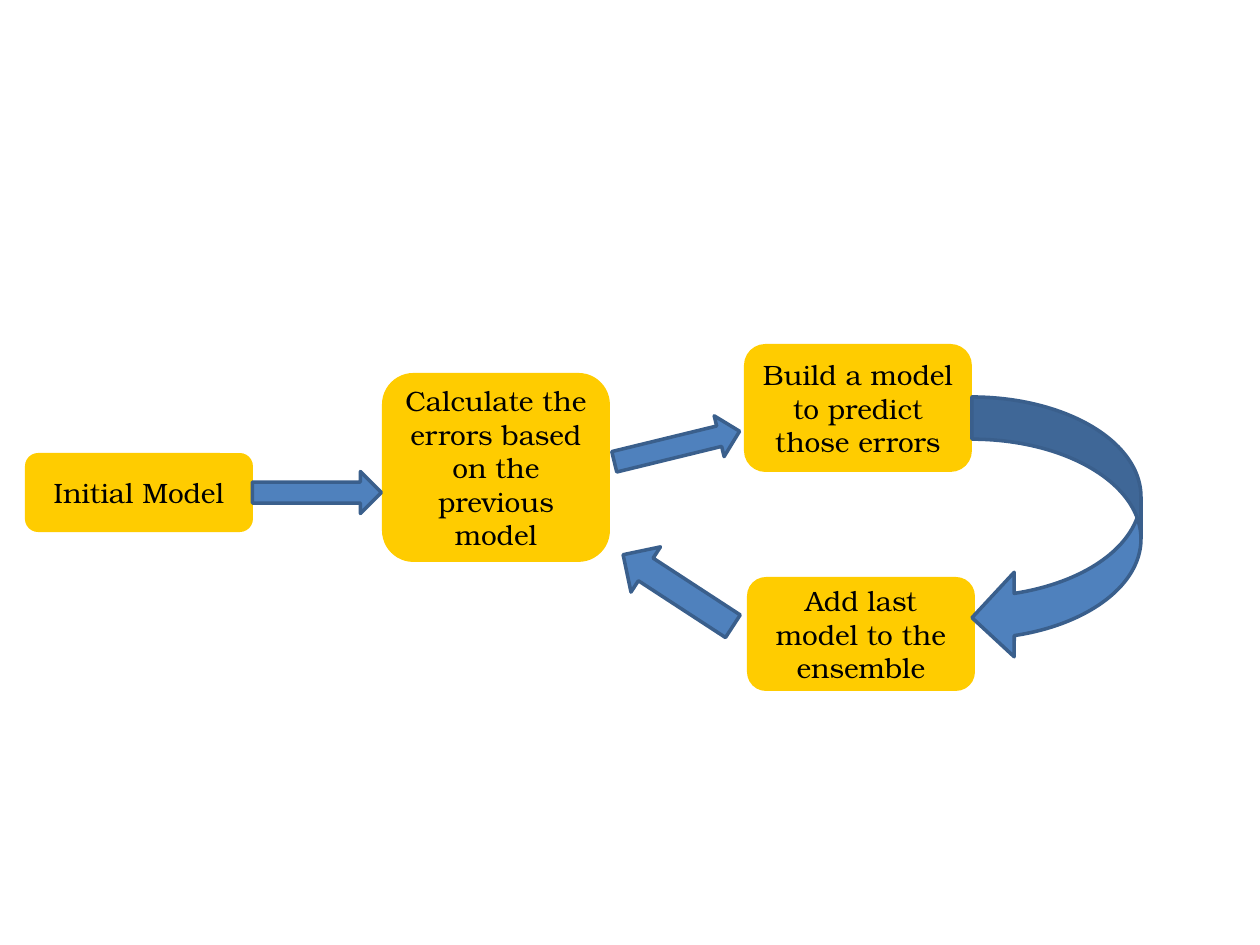
from pptx import Presentation
from pptx.dml.color import RGBColor
from pptx.enum.shapes import MSO_SHAPE
from pptx.enum.text import MSO_ANCHOR, PP_ALIGN
from pptx.util import Emu, Pt

EMU_PER_PIXEL = 914400 / 126
YELLOW = RGBColor(0xFF, 0xCC, 0x00)
BLUE = RGBColor(0x4F, 0x81, 0xBD)
DARK_BLUE = RGBColor(0x3A, 0x5F, 0x8C)
BLACK = RGBColor(0x00, 0x00, 0x00)
FONT = "TeX Gyre Bonum"
STEP_WIDTH = 228


def px(length):
    return Emu(round(length * EMU_PER_PIXEL))


def add_filled(slide, preset, box, color):
    shape = slide.shapes.add_shape(preset, *map(px, box))
    shape.shadow.inherit = False
    shape.fill.solid()
    shape.fill.fore_color.rgb = color
    return shape


def add_step(slide, label, left, top, height):
    step = add_filled(slide, MSO_SHAPE.ROUNDED_RECTANGLE,
                      (left, top, STEP_WIDTH, height), YELLOW)
    step.line.fill.background()
    frame = step.text_frame
    frame.word_wrap = True
    frame.vertical_anchor = MSO_ANCHOR.MIDDLE
    frame.text = label
    paragraph = frame.paragraphs[0]
    paragraph.alignment = PP_ALIGN.CENTER
    font = paragraph.runs[0].font
    font.name = FONT
    font.size = Pt(16)
    font.color.rgb = BLACK


def add_arrow(slide, preset, box, rotation=0):
    arrow = add_filled(slide, preset, box, BLUE)
    arrow.line.color.rgb = DARK_BLUE
    arrow.line.width = Pt(2)
    arrow.rotation = rotation


def main():
    prs = Presentation()
    prs.slide_width, prs.slide_height = px(1260), px(945)
    slide = prs.slides.add_slide(prs.slide_layouts[6])

    # Steps of the boosting loop
    for label, left, top, height in (
        ("Initial Model", 25, 453, 79),
        ("Calculate the errors based on the previous model", 382, 373, 189),
        ("Build a model to predict those errors", 744, 344, 128),
        ("Add last model to the ensemble", 747, 577, 114),
    ):
        add_step(slide, label, left, top, height)

    # Arrows from each step to the next
    for preset, box, rotation in (
        (MSO_SHAPE.DOWN_ARROW, (296, 428, 42, 129), 270),
        (MSO_SHAPE.DOWN_ARROW, (656, 382, 42, 129), 256.3),
        (MSO_SHAPE.CURVED_LEFT_ARROW, (972, 397, 169, 263), 0),
        (MSO_SHAPE.DOWN_ARROW, (651, 525, 54, 131), 123.1),
    ):
        add_arrow(slide, preset, box, rotation)

    prs.save("out.pptx")


main()
